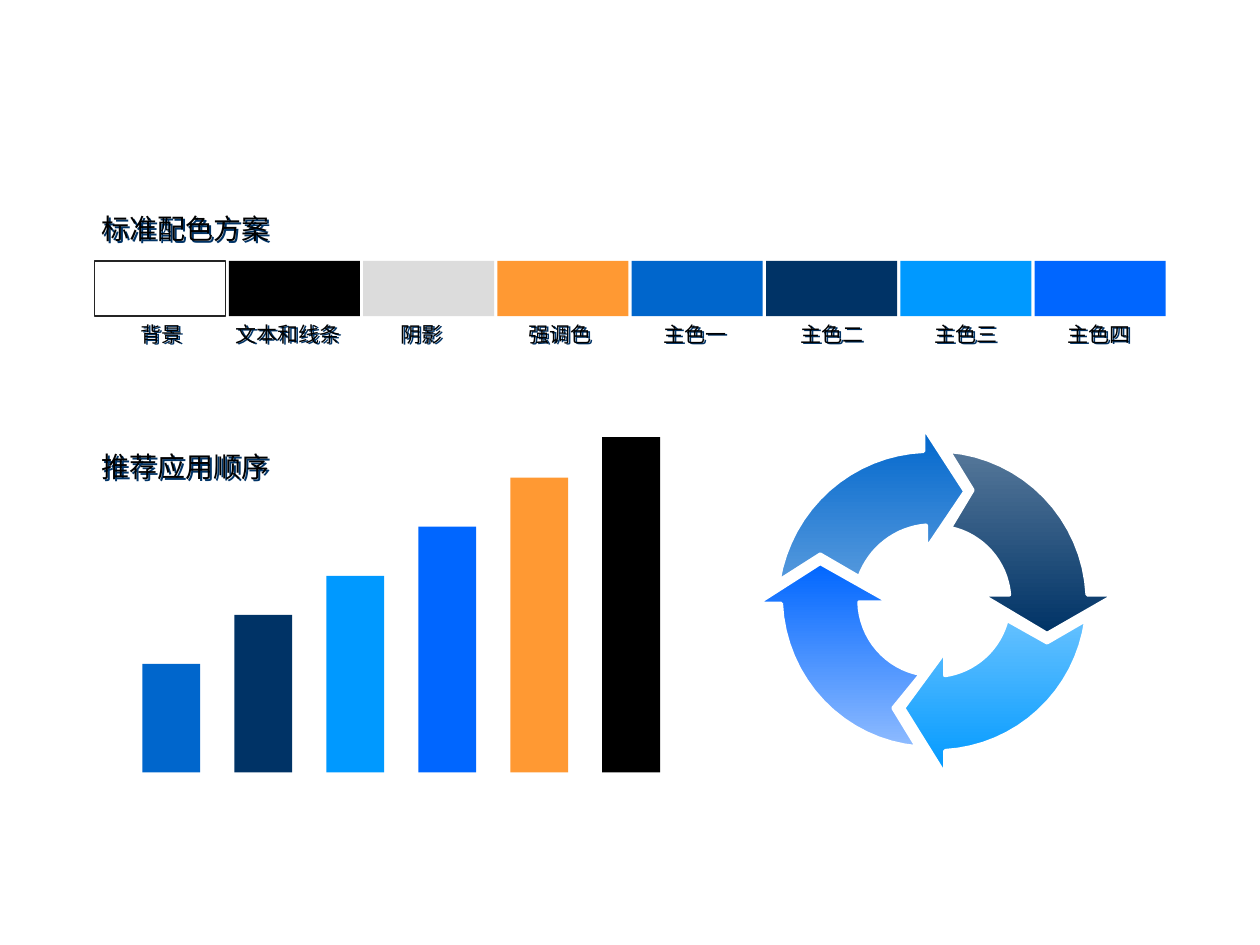
import math

from lxml import etree
from pptx import Presentation, util as u
from pptx.dml.color import RGBColor
from pptx.enum import shapes, text
from pptx.oxml.ns import qn

COLORS = {
    "background": "FFFFFF", "text": "000000", "shade": "DCDCDC", "accent": "FF9933",
    "main1": "0066CC", "main2": "003366", "main3": "0099FF", "main4": "0066FF",
    "outline": "242424", "text_shadow": "003366",
    "main1_soft": "5599DD", "main2_soft": "557799", "main3_soft": "65C1FF", "main4_soft": "8EBBFF",
}
LEFT, CENTER = text.PP_ALIGN.LEFT, text.PP_ALIGN.CENTER

# heading, top, width
HEADINGS = [("标准配色方案", 1.63, 2.53), ("推荐应用顺序", 3.52, 2.48)]
# colour, label, label left, label width, alignment
SWATCHES = [
    ("background", "背景", 1.02, 0.53, LEFT),
    ("text", "文本和线条", 1.77, 1.13, LEFT),
    ("shade", "阴影", 2.78, 1.13, CENTER),
    ("accent", "强调色", 3.88, 1.13, CENTER),
    ("main1", "主色一", 4.95, 1.13, CENTER),
    ("main2", "主色二", 6.09, 1.03, CENTER),
    ("main3", "主色三", 7.14, 1.05, CENTER),
    ("main4", "主色四", 8.2, 1.05, CENTER),
]
# colour, height
BARS = [("main1", 0.86), ("main2", 1.25), ("main3", 1.56),
        ("main4", 1.95), ("accent", 2.34), ("text", 2.66)]
# gradient top and bottom, inner arc ends, head points, outer arc ends, tail notch
CYCLE = [
    ("main1", "main1_soft", [(6.82, 4.58), (7.35, 4.17)],
     [(7.35, 4.36), (7.66, 3.9), (7.33, 3.39)], [(7.33, 3.58), (6.18, 4.61)], (6.51, 4.4)),
    ("main3_soft", "main3", [(7.99, 4.92), (7.5, 5.36)],
     [(7.5, 5.17), (7.17, 5.62), (7.5, 6.15)], [(7.5, 5.96), (8.62, 4.92)], (8.31, 5.1)),
    ("main4", "main4_soft", [(7.31, 5.35), (6.82, 4.78)],
     [(7.06, 4.78), (6.51, 4.47), (6.01, 4.79)], [(6.2, 4.79), (7.28, 5.93)], (7.09, 5.62)),
    ("main2_soft", "main2", [(7.54, 4.19), (8.01, 4.72)],
     [(7.79, 4.72), (8.31, 5.03), (8.85, 4.72)], [(8.63, 4.72), (7.53, 3.58)], (7.72, 3.89)),
]
CYCLE_CENTER = (7.42, 4.77)
SWATCH_LEFT, SWATCH_TOP, SWATCH_PITCH, SWATCH_SIZE = 0.75, 2.07, 1.066, (1.04, 0.44)
BAR_LEFT, BAR_PITCH, BAR_WIDTH, BASELINE = 1.13, 0.73, 0.46, 6.13


def rgb(name):
    return RGBColor.from_string(COLORS[name])


def add_block(slide, color, left, top, width, height):
    block = slide.shapes.add_shape(shapes.MSO_SHAPE.RECTANGLE,
                                   *map(u.Inches, (left, top, width, height)))
    block.shadow.inherit = False
    block.fill.solid()
    block.fill.fore_color.rgb = rgb(color)
    if color == "background":
        block.line.color.rgb = rgb("outline")
        block.line.width = u.Pt(1)
    else:
        block.line.fill.background()


def add_text(slide, words, left, top, width, height, size, align=LEFT):
    """Add a text box whose letters cast a small hard shadow."""
    box = slide.shapes.add_textbox(*map(u.Inches, (left, top, width, height)))
    frame = box.text_frame
    frame.word_wrap = True
    frame.auto_size = text.MSO_AUTO_SIZE.SHAPE_TO_FIT_TEXT
    paragraph = frame.paragraphs[0]
    paragraph.alignment = align
    run = paragraph.add_run()
    run.text = words
    for key, value in {"size": u.Pt(size), "name": "Arial"}.items():
        setattr(run.font, key, value)
    run.font.color.rgb = rgb("text")
    effects = etree.SubElement(box.element.spPr, qn("a:effectLst"))
    shadow = etree.SubElement(effects, qn("a:outerShdw"), dist=str(u.Inches(0.02)),
                              dir="2700000", algn="ctr", rotWithShape="0")
    etree.SubElement(shadow, qn("a:srgbClr"), val=COLORS["text_shadow"])


def arc(start, end, steps=16):
    """Points from start to end, turning around the cycle's centre."""
    cx, cy = CYCLE_CENTER
    (r0, a0), (r1, a1) = [(math.hypot(x - cx, y - cy), math.atan2(y - cy, x - cx))
                          for x, y in (start, end)]
    turn = (a1 - a0 + math.pi) % math.tau - math.pi
    for step in range(steps + 1):
        share = step / steps
        radius, angle = r0 + (r1 - r0) * share, a0 + turn * share
        yield cx + radius * math.cos(angle), cy + radius * math.sin(angle)


def add_cycle_arrow(group, top_color, bottom_color, inner, head, outer, notch):
    points = [(u.Inches(x), u.Inches(y))
              for x, y in [*arc(*inner), *head, *arc(*outer), notch]]
    builder = group.shapes.build_freeform(*points[0])
    builder.add_line_segments(points[1:], close=True)
    arrow = builder.convert_to_shape()
    arrow.shadow.inherit = False
    arrow.fill.gradient()
    arrow.fill.gradient_angle = 270
    for stop, color in zip(arrow.fill.gradient_stops, (top_color, bottom_color)):
        stop.color.rgb = rgb(color)
    arrow.line.color.rgb = rgb("background")
    arrow.line.width = u.Pt(2.25)


def main():
    deck = Presentation()
    deck.slide_width, deck.slide_height = u.Inches(10), u.Inches(7.5)
    slide = deck.slides.add_slide(deck.slide_layouts[6])

    for column, (color, label, left, width, align) in enumerate(SWATCHES):
        add_block(slide, color, SWATCH_LEFT + column * SWATCH_PITCH, SWATCH_TOP, *SWATCH_SIZE)
        add_text(slide, label, left, 2.5, width, 0.3, 12, align)
    for column, (color, height) in enumerate(BARS):
        add_block(slide, color, BAR_LEFT + column * BAR_PITCH, BASELINE - height,
                  BAR_WIDTH, height)
    for heading, top, width in HEADINGS:
        add_text(slide, heading, 0.71, top, width, 0.37, 16)
    cycle = slide.shapes.add_group_shape()
    for arrow in CYCLE:
        add_cycle_arrow(cycle, *arrow)

    deck.save("out.pptx")


if __name__ == "__main__":
    main()
